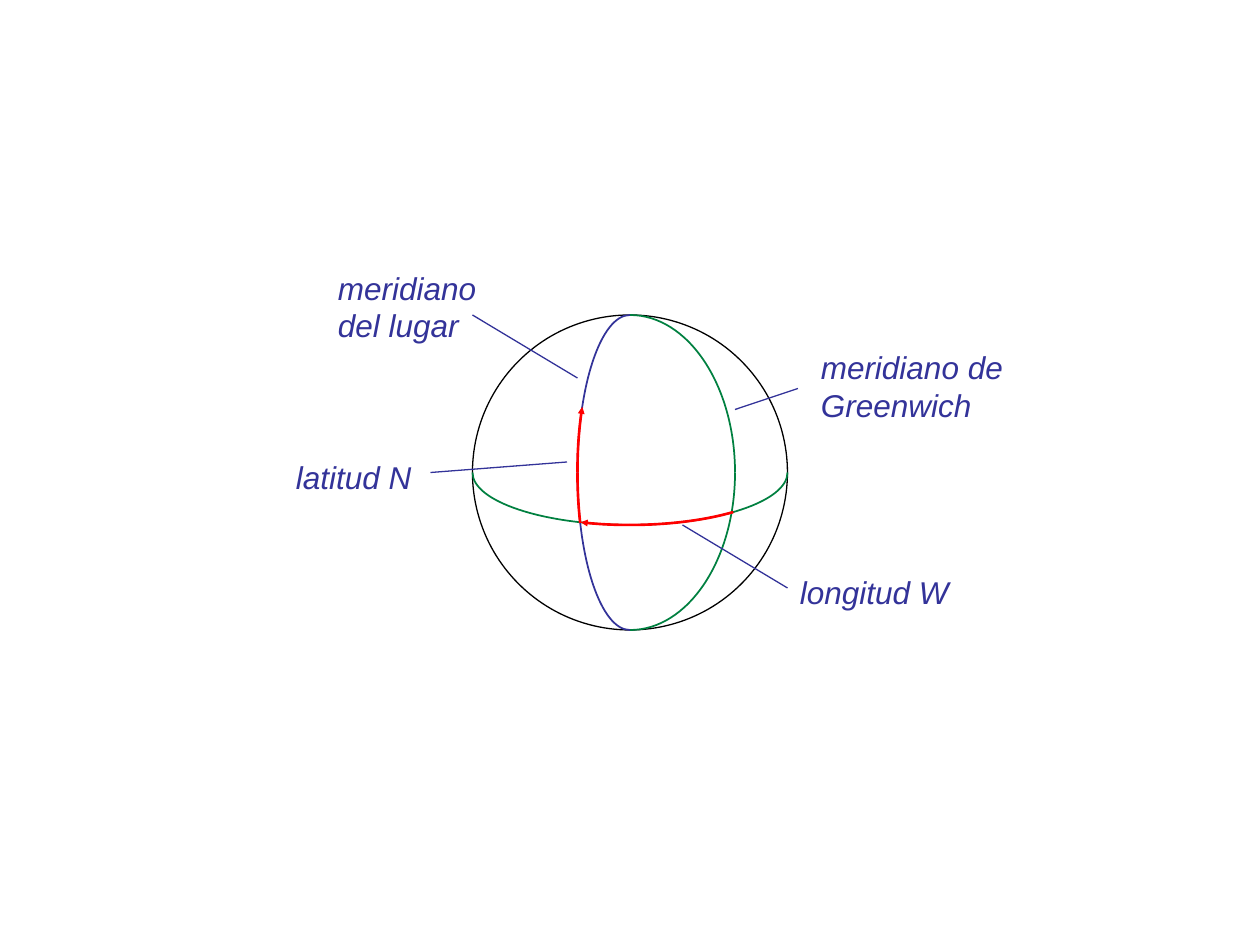
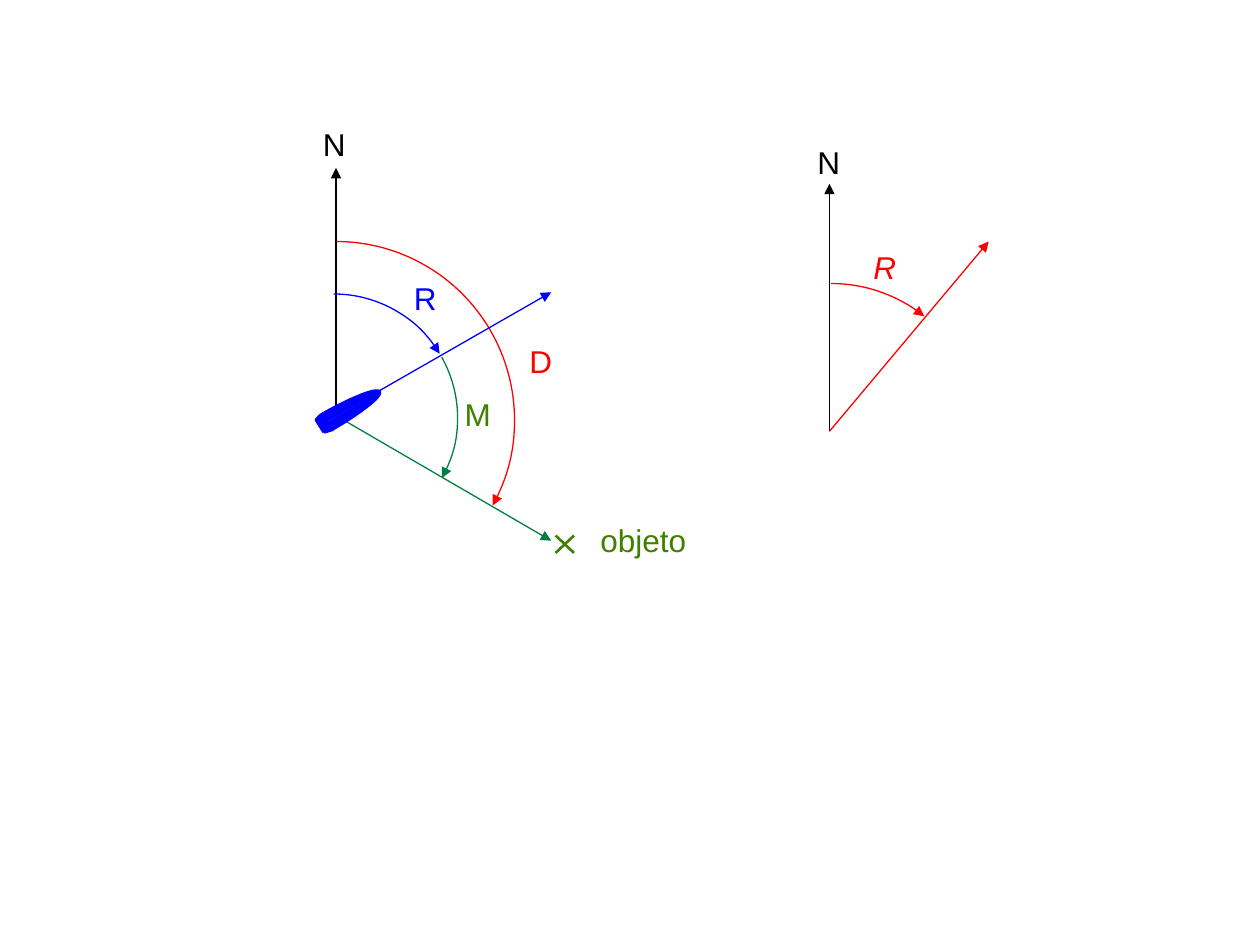
from copy import deepcopy
from math import cos, radians, sin, tan

from pptx import Presentation
from pptx.dml.color import RGBColor
from pptx.enum.shapes import MSO_CONNECTOR, MSO_SHAPE
from pptx.enum.text import MSO_AUTO_SIZE, PP_ALIGN
from pptx.oxml.ns import qn
from pptx.oxml.xmlchemy import OxmlElement
from pptx.util import Pt

PX = 6350  # EMU per px, 144 px to the inch
FONT = "Arial"
TEXT_SIZE = 18
LABEL_HEIGHT = 58

BLACK, WHITE = "000000", "FFFFFF"
NAVY, BLUE = "333399", "0000FF"
GREEN, OLIVE = "008040", "408000"
RED = "FF0000"


def px(*lengths):
    return [round(length * PX) for length in lengths]


def color(value):
    return RGBColor.from_string(value)


def style_line(shape, line_color, width, arrow=None):
    """Set colour and width; arrow is the arrowhead size, "sm" or "med"."""
    shape.line.color.rgb = color(line_color)
    shape.line.width = Pt(width)
    if arrow:
        tail = OxmlElement("a:tailEnd")
        for name, value in (("type", "triangle"), ("w", arrow), ("len", arrow)):
            tail.set(name, value)
        shape.element.spPr.find(qn("a:ln")).append(tail)


def style_fill(shape, fill_color):
    shape.shadow.inherit = False
    if fill_color:
        shape.fill.solid()
        shape.fill.fore_color.rgb = color(fill_color)
    else:
        shape.fill.background()


def add_line(slide, start, end, line_color, width=0.75, arrow=None):
    connector = slide.shapes.add_connector(
        MSO_CONNECTOR.STRAIGHT, *px(*start), *px(*end))
    style_line(connector, line_color, width, arrow)
    connector.element.spPr.append(OxmlElement("a:effectLst"))


def add_curved_wedge(slide, curve, corner, line_color, width,
                     fill_color=None, arrow=None):
    """Stroke a Bezier curve; the wedge from it to the corner takes the fill."""
    start, *others = [px(*point) for point in (*curve, corner)]
    builder = slide.shapes.build_freeform(*start)
    builder.add_line_segments(others, close=True)
    shape = builder.convert_to_shape()

    # Turn the first three segments into one cubic curve
    wedge = next(shape.element.iter(qn("a:path")))
    bezier = OxmlElement("a:cubicBezTo")
    for segment in list(wedge)[1:4]:
        bezier.append(segment[0])
        wedge.remove(segment)
    wedge.insert(1, bezier)

    # Only the curve has a line and only the wedge has a fill
    stroke = deepcopy(wedge)
    for segment in list(stroke)[2:]:
        stroke.remove(segment)
    stroke.set("fill", "none")
    wedge.set("stroke", "0")
    wedge.addprevious(stroke)

    style_fill(shape, fill_color)
    style_line(shape, line_color, width, arrow)


def add_ellipse_part(slide, center, radii, angles, line_color, width=1, arrow=None):
    """Draw up to a quarter of an ellipse; angles run clockwise from the right."""
    first, last = map(radians, angles)
    reach = 4 / 3 * tan((last - first) / 4)

    def point(turn, pull):
        return (center[0] + radii[0] * (cos(turn) - pull * sin(turn)),
                center[1] + radii[1] * (sin(turn) + pull * cos(turn)))

    curve = (point(first, 0), point(first, reach), point(last, -reach), point(last, 0))
    add_curved_wedge(slide, curve, center, line_color, width, arrow=arrow)


def add_angle(slide, left, top, size, angles, line_color):
    """Draw a circular arc with an arrowhead, angles in degrees."""
    arc = slide.shapes.add_shape(MSO_SHAPE.ARC, *px(left, top, size, size))
    for index, angle in enumerate(angles):
        arc.adjustments[index] = angle * 0.6
    style_fill(arc, None)
    style_line(arc, line_color, 0.75, "med")


def add_label(slide, text, left, top, width, text_color, height=LABEL_HEIGHT,
              italic=False, centered=False, wrap=False):
    box = slide.shapes.add_textbox(*px(left, top, width, height))
    frame = box.text_frame
    frame.text = text
    frame.word_wrap = wrap
    frame.auto_size = MSO_AUTO_SIZE.SHAPE_TO_FIT_TEXT
    for paragraph in frame.paragraphs:
        if centered:
            paragraph.alignment = PP_ALIGN.CENTER
        for run in paragraph.runs:
            run.font.name = FONT
            run.font.size = Pt(TEXT_SIZE)
            run.font.italic = italic
            run.font.color.rgb = color(text_color)


def add_boat(slide):
    # Sides and stern corners
    for curve, corner in (
            (((370, 472), (403, 454), (431, 442), (435, 448)), (376, 481)),
            (((370, 472), (366, 474), (363, 477), (361, 480)), (373, 477)),
            (((380, 491), (413, 472), (438, 452), (434, 448)), (376, 481)),
            (((381, 491), (377, 492), (373, 494), (370, 494)), (379, 487))):
        add_curved_wedge(slide, curve, corner, BLUE, 1.5, BLUE)

    # Stern
    stern = slide.shapes.add_shape(MSO_SHAPE.RECTANGLE, *px(364, 475, 12, 17))
    stern.rotation = 330
    style_fill(stern, BLUE)
    style_line(stern, BLUE, 0)
    add_line(slide, (361, 480), (370, 494), BLUE, 1.5)


def build_globe(slide):
    center, radius = (720, 540), 180
    equator, greenwich, local = (radius, 60), (120, radius), (60, radius)

    # Sphere
    globe = slide.shapes.add_shape(
        MSO_SHAPE.OVAL,
        *px(center[0] - radius, center[1] - radius, 2 * radius, 2 * radius))
    style_fill(globe, WHITE)
    style_line(globe, BLACK, 0.75)

    # Equator and meridians, a quarter at a time
    for radii, first, line_color in (
            (equator, 0, GREEN), (greenwich, -90, GREEN), (local, 90, NAVY)):
        for start in (first, first + 90):
            add_ellipse_part(slide, center, radii, (start, start + 90), line_color)

    # Latitude and longitude
    for radii, angles, arrow in (
            (local, (180, 204.6), "sm"), (local, (161.3, 180), None),
            (equator, (49, 90), None), (equator, (90, 108.2), "sm")):
        add_ellipse_part(slide, center, radii, angles, RED, 1.5, arrow)

    # Labels and their leader lines
    for text, left, top, width, height, start, end in (
            ("meridiano de\nGreenwich", 924, 391, 239, 101, (840, 468), (912, 444)),
            ("meridiano\vdel lugar", 372, 300, 187, 101, (540, 360), (660, 432)),
            ("latitud N", 324, 516, 164, LABEL_HEIGHT, (492, 540), (648, 528)),
            ("longitud W", 900, 648, 203, LABEL_HEIGHT, (780, 600), (900, 672))):
        add_label(slide, text, left, top, width, NAVY, height, italic=True)
        add_line(slide, start, end, NAVY)


def build_bearings(slide):
    # Boat with north, heading and line of sight
    boat = (384, 475)
    add_angle(slide, 180, 276, 408, (270, 28.63), RED)
    for end, line_color in (((384, 192), BLACK), ((630, 334), BLUE),
                            ((630, 618), GREEN)):
        add_line(slide, boat, end, line_color, arrow="med")
    add_boat(slide)
    add_angle(slide, 240, 336, 283, (270, 328.84), BLUE)
    add_angle(slide, 240, 336, 283, (330.73, 29.15), GREEN)

    # Sighted object
    add_line(slide, (635, 632), (656, 612), OLIVE, 1.5)
    add_line(slide, (656, 632), (635, 612), OLIVE, 1.5)
    add_label(slide, "objeto", 672, 588, 132, OLIVE, wrap=True)

    for text, left, top, text_color in (
            ("N", 316, 136, BLACK), ("R", 420, 312, BLUE),
            ("M", 480, 444, OLIVE), ("D", 552, 384, RED)):
        add_label(slide, text, left, top, 132, text_color, centered=True, wrap=True)

    # Course alone
    origin = (948, 493)
    add_angle(slide, 780, 324, 340, (270, 308.77), RED)
    add_line(slide, origin, (948, 210), BLACK, arrow="med")
    add_line(slide, origin, (1130, 276), RED, arrow="med")
    add_label(slide, "N", 920, 156, 55, BLACK)
    add_label(slide, "R", 984, 276, 63, RED, italic=True)


def main():
    presentation = Presentation()
    presentation.slide_width, presentation.slide_height = px(1440, 1080)
    blank = presentation.slide_layouts[6]
    for build in (build_globe, build_bearings):
        build(presentation.slides.add_slide(blank))
    presentation.save("out.pptx")


if __name__ == "__main__":
    main()
